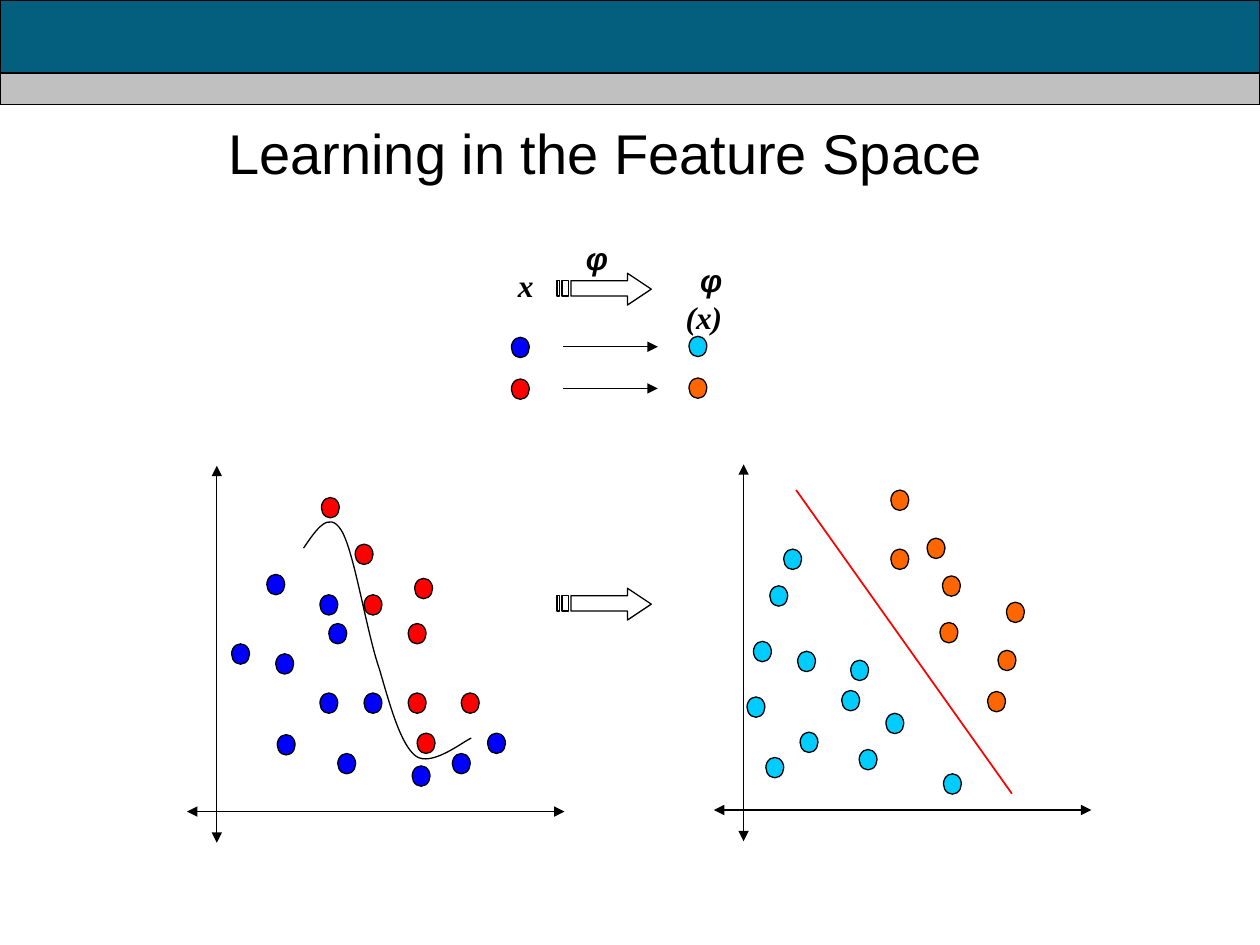
from dataclasses import dataclass

import pptx
import pptx.dml.color
import pptx.enum.shapes
import pptx.enum.text
import pptx.oxml.ns
import pptx.oxml.xmlchemy
import pptx.util
from lxml import etree

Cm = pptx.util.Cm
Pt = pptx.util.Pt
qn = pptx.oxml.ns.qn
MSO_SHAPE = pptx.enum.shapes.MSO_SHAPE
PP_ALIGN = pptx.enum.text.PP_ALIGN


@dataclass(frozen=True)
class Theme:
    black: str = "000000"
    teal: str = "045E7E"
    grey: str = "C0C0C0"
    red: str = "FF0000"
    blue: str = "0000FF"
    orange: str = "FF6600"
    cyan: str = "00CCFF"
    sans: str = "Arial"
    serif: str = "Times New Roman"
    title_size: float = 32
    label_size: float = 18
    line_width: float = 0.75
    separator_width: float = 1


THEME = Theme()

RED_POINTS = [
    (6.48, 10.03), (7.16, 10.97), (7.34, 11.99), (8.41, 14.78),
    (9.3, 13.97), (8.23, 13.97), (8.23, 12.57), (8.36, 11.66),
]
BLUE_POINTS = [
    (6.45, 11.99), (6.45, 13.97), (5.56, 13.18), (6.81, 15.19),
    (5.38, 11.58), (7.34, 13.97), (9.12, 15.19), (6.63, 12.57),
    (8.31, 15.44), (4.67, 12.98), (5.59, 14.81), (9.83, 14.78),
]
ORANGE_POINTS = [
    (17.96, 11.07), (17.96, 9.88), (18.69, 10.85), (20.29, 12.14),
    (19.91, 13.94), (20.12, 13.11), (18.95, 12.55), (19, 11.61),
]
CYAN_POINTS = [
    (15.8, 11.07), (16.97, 13.92), (16.08, 13.13), (17.32, 15.11),
    (15.52, 11.81), (17.86, 14.38), (15.06, 14.05), (17.15, 13.31),
    (19.02, 15.6), (15.19, 12.93), (16.13, 14.76), (15.44, 15.27),
]
BOUNDARY = [
    (6.12, 11.05),
    (6.38, 10.67), (6.63, 10.29), (6.88, 10.69),
    (7.14, 11.1), (7.39, 12.75), (7.65, 13.49),
    (7.87, 14.25), (8.08, 15.01), (8.38, 15.24),
    (8.69, 15.47), (9.32, 14.96), (9.5, 14.88),
]
STRIPED_ARROW = [
    [(0.28, 0.15), (1.42, 0.15), (1.42, 0), (1.9, 0.32),
     (1.42, 0.64), (1.42, 0.46), (0.28, 0.46)],
    [(0, 0.15), (0.05, 0.15), (0.05, 0.46), (0, 0.46)],
    [(0.1, 0.15), (0.23, 0.15), (0.23, 0.46), (0.1, 0.46)],
]


def rgb(color):
    return pptx.dml.color.RGBColor.from_string(color)


def style_outline(shape, color=THEME.black, width=THEME.line_width):
    shape.line.color.rgb = rgb(color)
    shape.line.width = Pt(width)


def add_filled(shapes, kind, left, top, width, height, color):
    shape = shapes.add_shape(kind, Cm(left), Cm(top), Cm(width), Cm(height))
    shape.shadow.inherit = False
    shape.fill.solid()
    shape.fill.fore_color.rgb = rgb(color)
    style_outline(shape)


def add_dots(shapes, points, color):
    for left, top in points:
        add_filled(shapes, MSO_SHAPE.OVAL, left, top, 0.36, 0.41, color)


def add_line(shapes, start, end, ends=(), color=THEME.black, width=THEME.line_width):
    connector = shapes.add_connector(
        pptx.enum.shapes.MSO_CONNECTOR.STRAIGHT, *map(Cm, start + end))
    style_outline(connector, color, width)
    outline = connector.line._get_or_add_ln()
    for end_name in ends:
        etree.SubElement(outline, qn(f"a:{end_name}"), type="triangle")
    etree.SubElement(connector._element.spPr, qn("a:effectLst"))


def add_axes(shapes, x, y):
    both = ("headEnd", "tailEnd")
    add_line(shapes, (x, y - 6.97), (x, y + 0.63), both)
    add_line(shapes, (x - 0.6, y), (x + 7.01, y), both)


def add_outline(shapes, contours, left=0, top=0, close=True):
    placed = [[(Cm(left + x), Cm(top + y)) for x, y in contour] for contour in contours]
    builder = shapes.build_freeform(*placed[0][0])
    for index, contour in enumerate(placed):
        if index:
            builder.move_to(*contour[0])
        builder.add_line_segments(contour[1:], close=close)
    shape = builder.convert_to_shape()
    shape.shadow.inherit = False
    shape.fill.background()
    style_outline(shape)
    return shape


def add_curve(shapes, points):
    shape = add_outline(shapes, [points], close=False)
    segments = shape._element.xpath(".//a:lnTo")
    outline = segments[0].getparent()
    for index in range(0, len(segments), 3):
        curve = etree.SubElement(outline, qn("a:cubicBezTo"))
        for segment in segments[index:index + 3]:
            curve.append(segment[0])
            outline.remove(segment)


def add_text(shapes, left, top, width, height, runs, size, align, wrap):
    box = shapes.add_textbox(Cm(left), Cm(top), Cm(width), Cm(height))
    frame = box.text_frame
    frame.word_wrap = wrap
    paragraph = frame.paragraphs[0]
    paragraph.alignment = align
    paragraph.font.size = Pt(size)
    paragraph.font.color.rgb = rgb(THEME.black)
    for text, font_name in runs:
        run = paragraph.add_run()
        run.text = text
        run.font.name = font_name
    return box


def add_label(shapes, left, top, width, runs, wrap=False):
    box = add_text(shapes, left, top, width, 1.02, runs,
                   THEME.label_size, PP_ALIGN.RIGHT, wrap)
    font = box.text_frame.paragraphs[0].font
    font.bold = True
    font.italic = True


def add_title(shapes, text):
    box = add_text(shapes, 0, 1.47, 25.4, 3.18, [(text, THEME.sans)],
                   THEME.title_size, PP_ALIGN.CENTER, True)
    box.text_frame.vertical_anchor = pptx.enum.text.MSO_ANCHOR.MIDDLE
    box.text_frame.margin_right = Cm(1.24)


def add_input_plot(shapes):
    add_axes(shapes, 4.37, 16.36)
    add_dots(shapes, RED_POINTS, THEME.red)
    add_dots(shapes, BLUE_POINTS, THEME.blue)
    add_curve(shapes, BOUNDARY)


def add_feature_plot(shapes):
    add_axes(shapes, 14.99, 16.33)
    add_dots(shapes, ORANGE_POINTS, THEME.orange)
    add_dots(shapes, CYAN_POINTS, THEME.cyan)
    add_line(shapes, (16.05, 9.88), (20.4, 16), color=THEME.red,
             width=THEME.separator_width)


def add_mapping_key(shapes):
    add_label(shapes, 13.08, 5.13, 1.73,
              [("φ", THEME.sans), (" (x)", THEME.serif)], wrap=True)
    add_label(shapes, 11.56, 4.7, 0.84, [("φ", THEME.sans)])
    add_label(shapes, 10.19, 5.23, 0.81, [("x", THEME.serif)])
    rows = [(6.8, THEME.blue, THEME.cyan), (7.64, THEME.red, THEME.orange)]
    for top, source_color, target_color in rows:
        add_dots(shapes, [(10.31, top)], source_color)
        add_dots(shapes, [(13.89, top - 0.02)], target_color)
        add_line(shapes, (11.35, top + 0.19), (13.26, top + 0.19), ("tailEnd",))


def main():
    presentation = pptx.Presentation()
    presentation.slide_width = Cm(25.4)
    presentation.slide_height = Cm(19.05)
    slide = presentation.slides.add_slide(presentation.slide_layouts[6])
    shapes = slide.shapes
    add_filled(shapes, MSO_SHAPE.RECTANGLE, 0, 0, 25.4, 2.11, THEME.teal)
    add_filled(shapes, MSO_SHAPE.RECTANGLE, 0, 1.47, 25.4, 0.64, THEME.grey)
    add_input_plot(shapes.add_group_shape().shapes)
    add_feature_plot(shapes.add_group_shape().shapes)
    add_mapping_key(shapes)
    for top in (5.51, 11.86):
        add_outline(shapes, STRIPED_ARROW, 11.23, top)
    add_title(shapes, "Learning in the Feature Space")
    presentation.save("out.pptx")


if __name__ == "__main__":
    main()
